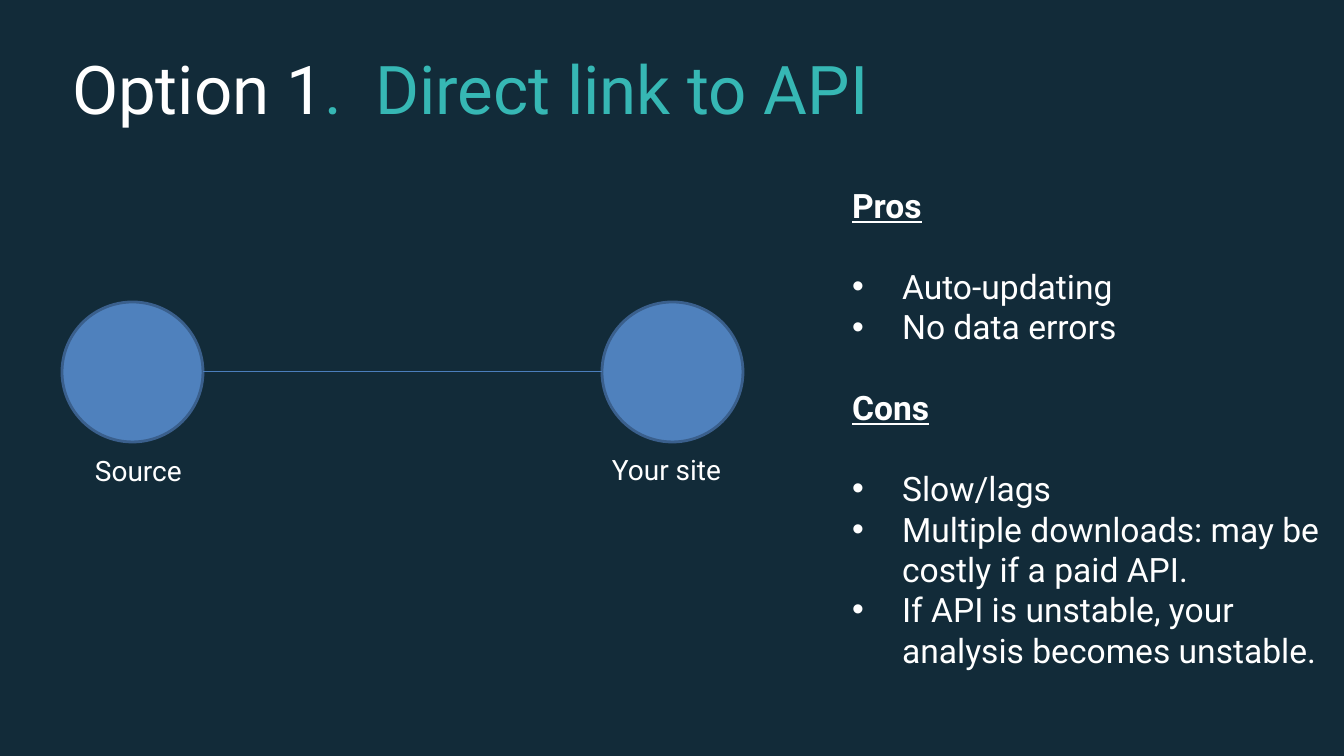
from lxml import etree
from pptx import Presentation, util as u
from pptx.dml.color import RGBColor
from pptx.enum import shapes, text
from pptx.oxml.ns import qn

# Content
TITLE = [("Option 1", "white"), (".  Direct link to API", "teal")]
ARGUMENTS = [
    ("Pros", ["Auto-updating", "No data errors"]),
    ("Cons", ["Slow/lags",
              "Multiple downloads: may be costly if a paid API.",
              "If API is unstable, your analysis becomes unstable."]),
]
# label, circle left, label left, label top (px)
NODES = [("Source", 62, 85, 449), ("Your site", 602, 602, 448)]

# Theme
THEME = {
    "font": "Roboto",
    "title": 48, "body": 24, "label": 20, "gap": 29,
    "background": "122B39", "white": "FFFFFF", "teal": "36B7B4",
    "circle": "4F81BD", "outline": "3A5F8C", "link": "4B7EBC",
}

# Geometry (px)
SLIDE = (1344, 756)
TITLE_BOX = (62, 42, 956, 92)
ARGUMENTS_BOX = (842, 180, 502, 546)
CIRCLE_TOP, CIRCLE_W, CIRCLE_H = 302, 141, 140
LABEL_H = 44
INDENT = 50


def px(length):
    return u.Emu(round(length * 914400 / 100.8))


def color(name):
    return RGBColor.from_string(THEME[name])


def assign(target, values):
    for key, value in values.items():
        setattr(target, key, value)


def style(font, size, tint="white", **extra):
    assign(font, {"name": THEME["font"], "size": u.Pt(THEME[size]), **extra})
    font.color.rgb = color(tint)


def place(box, left, top, width, height):
    assign(box, {"left": px(left), "top": px(top),
                 "width": px(width), "height": px(height)})
    assign(box.text_frame, {"word_wrap": True,
                            "auto_size": text.MSO_AUTO_SIZE.NONE,
                            "vertical_anchor": text.MSO_ANCHOR.TOP})


def set_bullet(paragraph, mark=None):
    props = paragraph._p.get_or_add_pPr()
    indent = px(INDENT) if mark else 0
    props.set("marL", str(indent))
    props.set("indent", str(-indent))
    if mark:
        etree.SubElement(props, qn("a:buFont"), typeface="Arial")
        etree.SubElement(props, qn("a:buChar"), char=mark)
    else:
        etree.SubElement(props, qn("a:buNone"))


def add_title(slide):
    title = slide.shapes.title
    place(title, *TITLE_BOX)
    heading = title.text_frame.paragraphs[0]
    heading.alignment = text.PP_ALIGN.LEFT
    for words, tint in TITLE:
        run = heading.add_run()
        run.text = words
        style(run.font, "title", tint)


def add_arguments(slide):
    body = slide.placeholders[1]
    place(body, *ARGUMENTS_BOX)
    frame = body.text_frame
    gap = u.Pt(THEME["gap"])
    for group, (heading, points) in enumerate(ARGUMENTS):
        for row, words in enumerate([heading, *points]):
            is_heading = row == 0
            first = group == 0 and is_heading
            line = frame.paragraphs[0] if first else frame.add_paragraph()
            assign(line, {
                "space_before": gap if is_heading and not first else u.Pt(0),
                "space_after": gap if is_heading else u.Pt(0),
            })
            set_bullet(line, None if is_heading else "•")
            run = line.add_run()
            run.text = words
            style(run.font, "body", bold=is_heading, underline=is_heading)


def add_diagram(slide):
    # Circles and their labels
    for name, circle_left, label_left, label_top in NODES:
        circle = slide.shapes.add_shape(
            shapes.MSO_SHAPE.OVAL, px(circle_left), px(CIRCLE_TOP),
            px(CIRCLE_W), px(CIRCLE_H))
        circle.shadow.inherit = False
        circle.fill.solid()
        circle.fill.fore_color.rgb = color("circle")
        circle.line.color.rgb = color("outline")
        circle.line.width = u.Pt(2)

        label = slide.shapes.add_textbox(0, 0, 0, 0)
        place(label, label_left, label_top, CIRCLE_W, LABEL_H)
        run = label.text_frame.paragraphs[0].add_run()
        run.text = name
        style(run.font, "label")

    # Link between the circles
    source_left, site_left = (node[1] for node in NODES)
    middle = px(CIRCLE_TOP + CIRCLE_H / 2)
    link = slide.shapes.add_connector(
        shapes.MSO_CONNECTOR.STRAIGHT,
        px(source_left + CIRCLE_W), middle, px(site_left), middle)
    link.line.color.rgb = color("link")
    link.line.width = u.Pt(0.75)
    etree.SubElement(link._element.spPr, qn("a:effectLst"))


def main():
    deck = Presentation()
    deck.slide_width, deck.slide_height = map(px, SLIDE)
    slide = deck.slides.add_slide(deck.slide_layouts[1])
    slide.background.fill.solid()
    slide.background.fill.fore_color.rgb = color("background")
    add_title(slide)
    add_arguments(slide)
    add_diagram(slide)
    deck.save("out.pptx")


if __name__ == "__main__":
    main()
